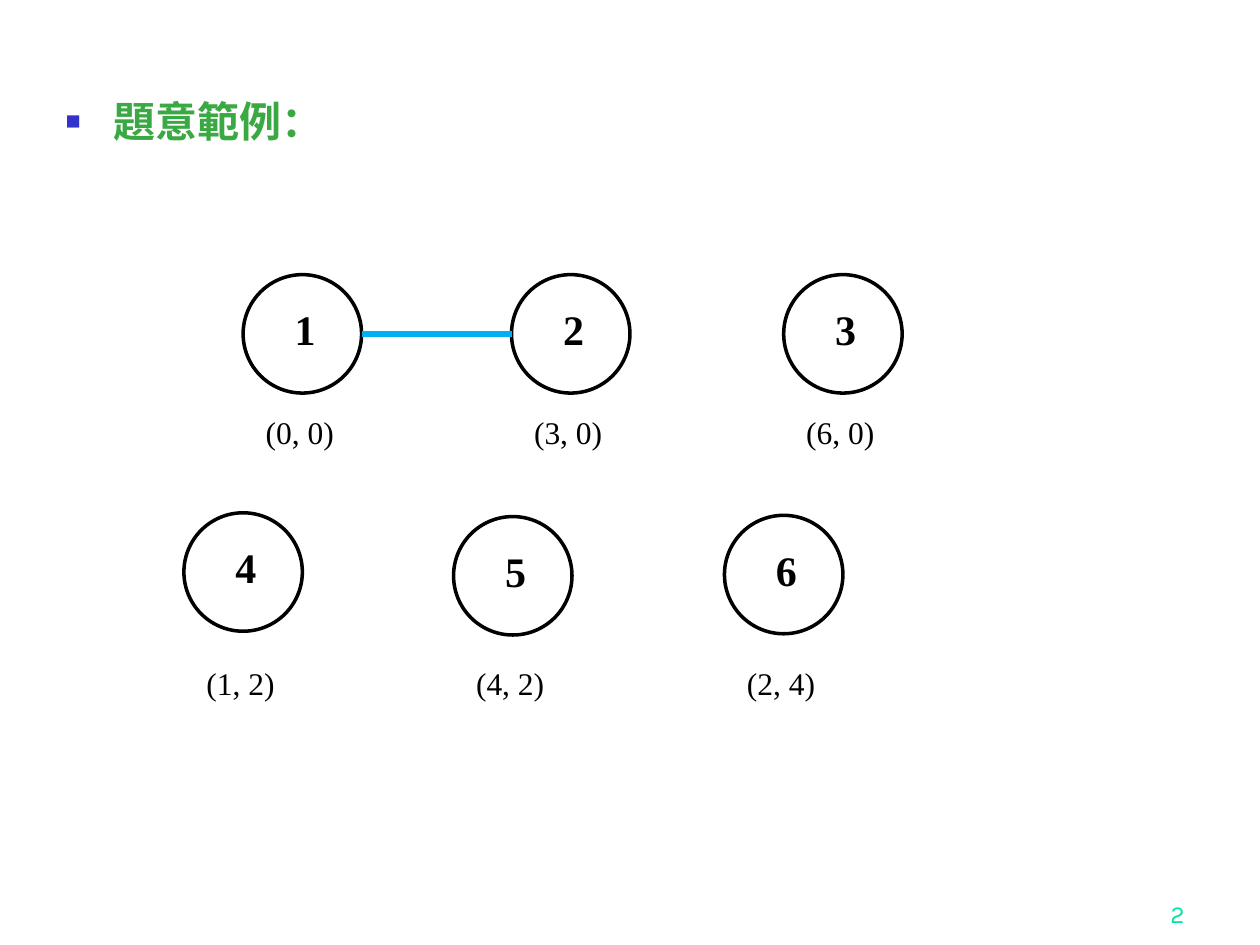
from lxml.etree import SubElement
from pptx import Presentation
from pptx.dml.color import RGBColor
from pptx.enum.shapes import MSO_CONNECTOR, MSO_SHAPE
from pptx.enum.text import MSO_ANCHOR, MSO_AUTO_SIZE, PP_ALIGN
from pptx.oxml.ns import qn
from pptx.util import Inches, Pt

COLORS = {
    "ink": "000000",
    "paper": "FFFFFF",
    "heading": "3BA943",
    "bullet": "3333CC",
    "edge": "00B0F0",
    "number": "00E4A8",
}
SERIF = "Times New Roman"
DIAMETER = 0.94
NODE_ROWS = [
    (3.23, [("1", "(0, 0)", 1.93, 2.18), ("2", "(3, 0)", 4.06, 2.18), ("3", "(6, 0)", 6.22, 2.18)]),
    (5.22, [("4", "(1, 2)", 1.46, 4.07), ("5", "(4, 2)", 3.6, 4.1), ("6", "(2, 4)", 5.75, 4.09)]),
]


def color(name):
    return RGBColor.from_string(COLORS[name])


def add_span(para, text, size, tint="ink", font=SERIF, bold=False):
    span = para.add_run()
    span.text = text
    span.font.size = Pt(size)
    span.font.name = font
    span.font.bold = bold
    span.font.color.rgb = color(tint)


def add_label(page, area, text, size, align=PP_ALIGN.LEFT, anchor=MSO_ANCHOR.TOP, **style):
    box = page.shapes.add_textbox(*map(Inches, area))
    frame = box.text_frame
    frame.word_wrap = True
    frame.vertical_anchor = anchor
    para = frame.paragraphs[0]
    para.alignment = align
    add_span(para, text, size, **style)


def add_bullet(para, symbol, tint, percent):
    props = para._p.get_or_add_pPr()
    props.set("marL", str(Inches(0.38)))
    props.set("indent", str(-Inches(0.38)))
    fill = SubElement(props, qn("a:buClr"))
    SubElement(fill, qn("a:srgbClr"), val=COLORS[tint])
    SubElement(props, qn("a:buSzPct"), val=str(percent * 1000))
    SubElement(props, qn("a:buFont"), typeface=SERIF)
    SubElement(props, qn("a:buChar"), char=symbol)


def fill_heading(page, text):
    body = page.placeholders[1]
    body.left, body.top, body.width, body.height = map(Inches, (0.42, 0.75, 3.09, 0.56))
    frame = body.text_frame
    frame.auto_size = MSO_AUTO_SIZE.NONE
    frame.vertical_anchor = MSO_ANCHOR.TOP
    para = frame.paragraphs[0]
    add_bullet(para, "■", "bullet", 60)
    para.line_spacing = 0.9
    para.space_before = Pt(0)
    add_span(para, text, 24, tint="heading", bold=True)


def add_node(page, name, point, left, top, caption_top):
    circle = page.shapes.add_shape(
        MSO_SHAPE.OVAL, *map(Inches, (left, top, DIAMETER, DIAMETER))
    )
    circle.shadow.inherit = False
    circle.fill.solid()
    circle.fill.fore_color.rgb = color("paper")
    circle.line.color.rgb = color("ink")
    circle.line.width = Pt(2)
    add_label(page, (left + 0.31, top + 0.18, 0.31, 0.5), name, 24, bold=True)
    add_label(page, (left + 0.08, caption_top, 0.79, 0.4), point, 18)
    return circle


def add_edge(page, start, end):
    middle = start.top + start.height // 2
    edge = page.shapes.add_connector(
        MSO_CONNECTOR.STRAIGHT, start.left + start.width, middle, end.left, middle
    )
    edge.line.color.rgb = color("edge")
    edge.line.width = Pt(3)
    SubElement(edge._element.spPr, qn("a:effectLst"))


def main():
    deck = Presentation()
    deck.slide_width, deck.slide_height = Inches(10), Inches(7.5)
    page = deck.slides.add_slide(deck.slide_layouts[1])
    title = page.shapes.title._element
    title.getparent().remove(title)
    add_label(
        page, (7.42, 6.92, 2.08, 0.5), "2", 14,
        align=PP_ALIGN.RIGHT, anchor=MSO_ANCHOR.BOTTOM, tint="number", font="Karla",
    )
    fill_heading(page, "題意範例：")
    nodes = {}
    for caption_top, row in NODE_ROWS:
        for name, point, left, top in row:
            nodes[name] = add_node(page, name, point, left, top, caption_top)
    add_edge(page, nodes["1"], nodes["2"])
    deck.save("out.pptx")


if __name__ == "__main__":
    main()
